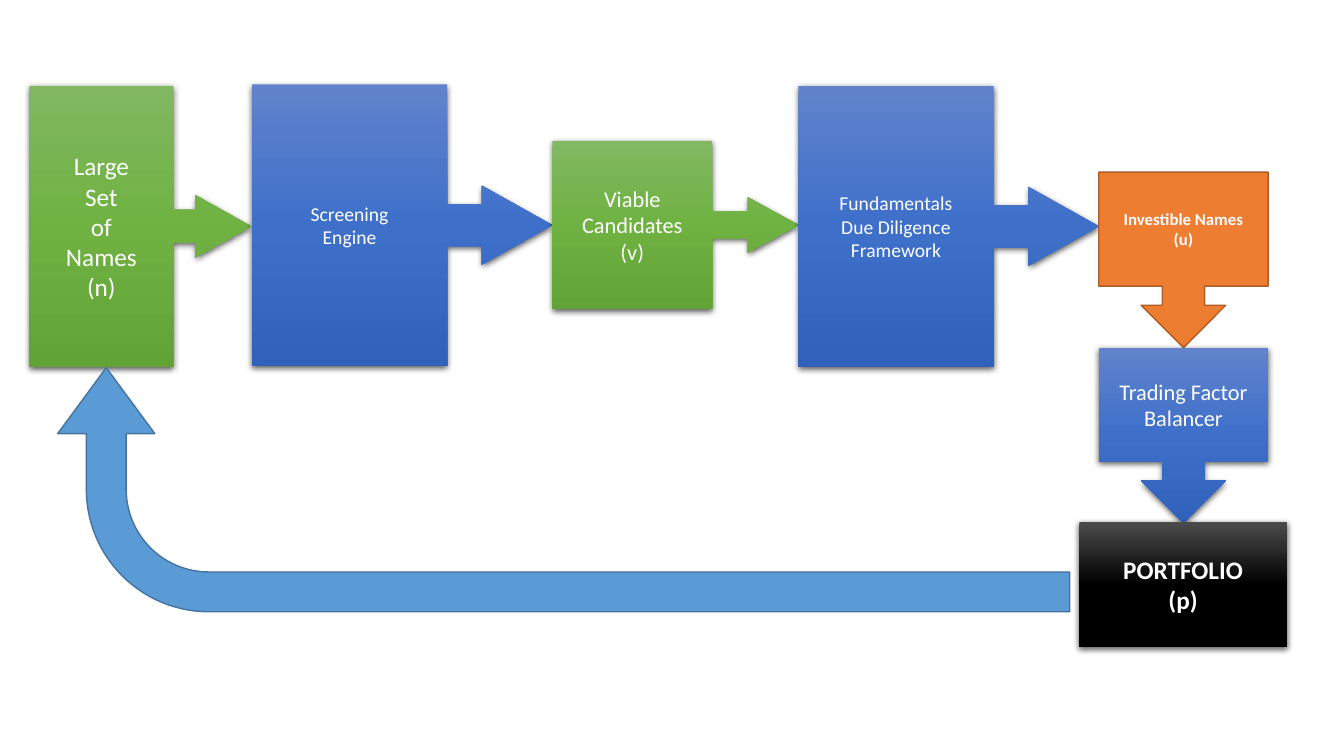
from lxml import etree
from pptx import Presentation
from pptx.dml.color import RGBColor
from pptx.enum import shapes, text
from pptx.oxml import ns
from pptx.util import Cm, Pt

COLORS = {
    "white": "FFFFFF", "shadow": "000000",
    "orange": "ED7D31", "orange line": "AF5C24",
    "sky": "5B9BD5", "sky line": "43739E",
}
GRADIENTS = {
    "green": ["81B861", "6FB242", "62A336"],
    "blue": ["6183CB", "3E70CA", "3062BB"],
    "black": ["4B4B4B", "000000", "000000"],
}
RIGHT = shapes.MSO_SHAPE.RIGHT_ARROW_CALLOUT
DOWN = shapes.MSO_SHAPE.DOWN_ARROW_CALLOUT
RECTANGLE = shapes.MSO_SHAPE.RECTANGLE
WIDE = [0.149, 0.14, 0.25, 0.65]
NARROW = [0.159, 0.165, 0.302, 0.65]


def add_element(parent, tag, **attributes):
    return etree.SubElement(parent, ns.qn(tag), attributes)


def style_shape(shape, color):
    shape.shadow.inherit = False
    if color not in GRADIENTS:
        shape.fill.solid()
        shape.fill.fore_color.rgb = RGBColor.from_string(COLORS[color])
        shape.line.color.rgb = RGBColor.from_string(COLORS[color + " line"])
        shape.line.width = Pt(1)
        return
    shape.line.fill.background()
    shape.fill.gradient()
    shape.fill.gradient_angle = 270
    properties = shape.element.spPr
    stops = properties.find(".//" + ns.qn("a:gsLst"))
    for stop in list(stops):
        stops.remove(stop)
    for index, value in enumerate(GRADIENTS[color]):
        stop = add_element(stops, "a:gs", pos=str(index * 50000))
        add_element(stop, "a:srgbClr", val=value)
    effects = properties.find(ns.qn("a:effectLst"))
    shadow = add_element(effects, "a:outerShdw", blurRad=str(Pt(4.5)), dist=str(Pt(1.5)),
                         dir="5400000", algn="ctr", rotWithShape="0")
    shade = add_element(shadow, "a:srgbClr", val=COLORS["shadow"])
    add_element(shade, "a:alpha", val="63000")


deck = Presentation()
deck.slide_width, deck.slide_height = Cm(33.87), Cm(19.05)
page = deck.slides.add_slide(deck.slide_layouts[6])

steps = [
    (RIGHT, WIDE, 0.74, 2.16, 5.59, 7.09, "green", 18, False, "Large\nSet\nof\nNames\n(n)"),
    (RIGHT, WIDE, 6.35, 2.13, 7.57, 7.09, "blue", 14, False, "Screening\vEngine"),
    (RIGHT, NARROW, 13.92, 3.56, 6.2, 4.22, "green", 16, False, "Viable Candidates\n(v)"),
    (RIGHT, WIDE, 20.12, 2.16, 7.57, 7.09, "blue", 14, False,
     "Fundamentals\nDue Diligence\nFramework"),
    (DOWN, [], 27.69, 4.34, 4.27, 4.42, "orange", 12, True, "Investible Names\n(u)"),
    (DOWN, [], 27.69, 8.76, 4.27, 4.42, "blue", 16, False, "Trading Factor Balancer"),
    (RECTANGLE, [], 27.2, 13.16, 5.23, 3.15, "black", 18, True, "PORTFOLIO\n(p)"),
]
for kind, adjustments, left, top, width, height, color, size, bold, label in steps:
    box = page.shapes.add_shape(kind, Cm(left), Cm(top), Cm(width), Cm(height))
    for index, value in enumerate(adjustments):
        box.adjustments[index] = value
    style_shape(box, color)
    frame = box.text_frame
    frame.text = label
    frame.word_wrap = True
    frame.vertical_anchor = text.MSO_ANCHOR.MIDDLE
    for para in frame.paragraphs:
        para.alignment = text.PP_ALIGN.CENTER
        for span in para.runs:
            span.font.name = "Calibri"
            span.font.size = Pt(size)
            span.font.bold = bold
            span.font.color.rgb = RGBColor.from_string(COLORS["white"])

feedback = page.shapes.add_shape(shapes.MSO_SHAPE.BENT_ARROW,
                                 Cm(11.13), Cm(-0.41), Cm(6.15), Cm(25.5))
feedback.rotation = 270
for index, value in enumerate([0.163, 0.199, 0.27, 0.502]):
    feedback.adjustments[index] = value
style_shape(feedback, "sky")

deck.save("out.pptx")
